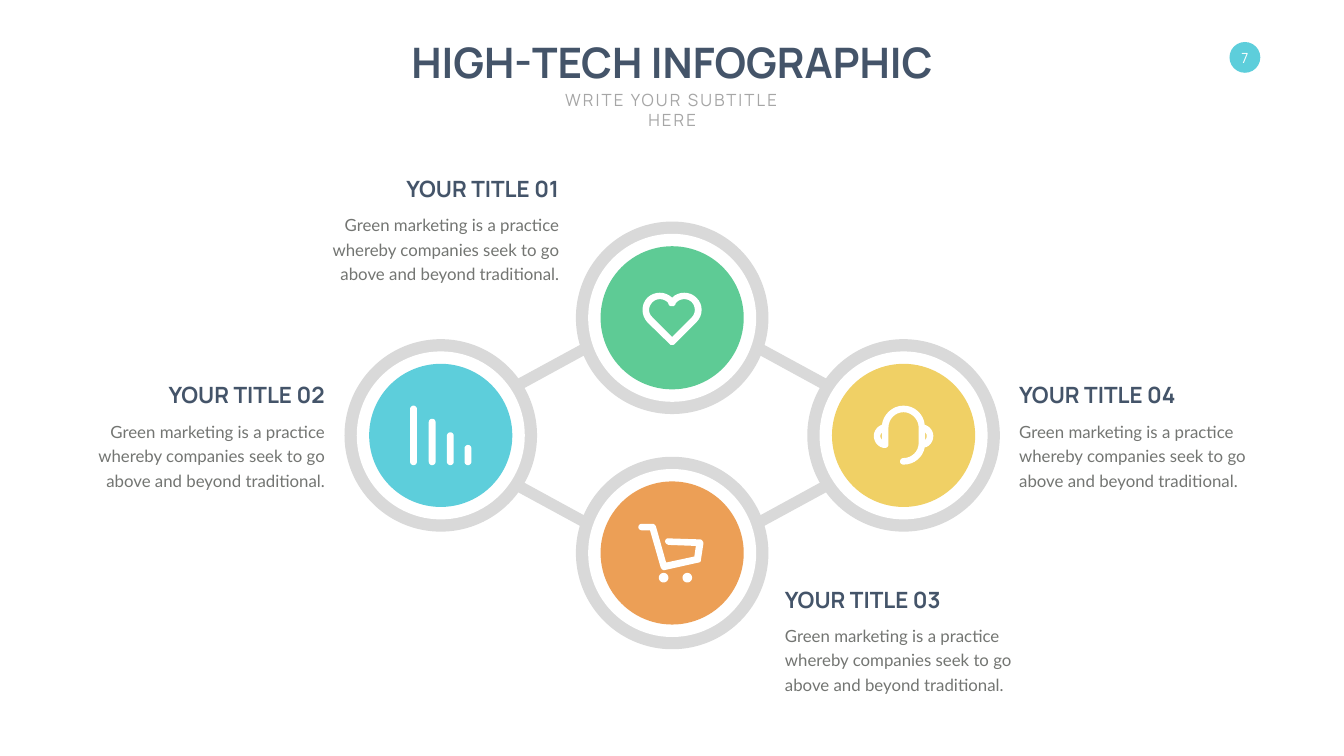
"""Build a slide with four linked circles, each with an icon and a caption."""
from math import cos, pi, sin

from pptx import Presentation
from pptx.dml.color import RGBColor
from pptx.enum.shapes import MSO_SHAPE
from pptx.enum.text import MSO_ANCHOR, MSO_AUTO_SIZE, PP_ALIGN
from pptx.oxml.ns import qn
from pptx.util import Pt

INK = {
    "navy": "445469", "gray": "A6A6A6", "text": "737572", "ring": "D9D9D9",
    "white": "FFFFFF", "blue": "5DCEDB", "green": "5ECB95",
    "gold": "F0D065", "rust": "EC9F56",
}
BODY = "Green marketing is a practice whereby companies seek to go above and beyond traditional."
MID = (960, 622)
STEP = (330.5, 168)
UNIT = 0.72
RINGS = (275, 240, 204.5)
WIDE, HEAD, RISE = 351, 242, 51


def disc(x, y, r, low=0, high=2 * pi):
    turns = [low + (high - low) * i / 24 for i in range(25)]
    return [(x + r * cos(t), y + r * sin(t)) for t in turns]


def bar(x, top, end, r):
    return disc(x, top + r, r, pi, 2 * pi) + disc(x, end - r, r, 0, pi)


HEART = [
    [(48, -40), (35, -53, 13, -53, 0, -40), (-14, -53, -35, -53, -49, -40),
     (-62, -27, -62, -5, -49, 9), (-5, 52), (-4, 54, -2, 54, 0, 54),
     (2, 54, 3, 54, 5, 52), (48, 9), (62, -5, 62, -27, 48, -40)],
    [(39, -1), (0, 38), (-39, -1), (-48, -9, -48, -22, -39, -31),
     (-31, -39, -18, -39, -9, -31), (-8, -29), (-7, -27, -7, -26, -6, -25),
     (-4, -23, -2, -23, 0, -23), (2, -23, 4, -23, 5, -25),
     (6, -26, 7, -27, 7, -29), (9, -31), (17, -39, 31, -39, 39, -31),
     (47, -22, 47, -9, 39, -1)],
]
BARS = [bar(x, top, 59, 6.75) for x, top in ((-54, -59), (-17, -33), (19, -6), (54, 19))]
CART = [
    disc(30, 49, 9.5),
    disc(-17, 49, 9.5),
    [(-60, -58), (-39, -58), (-36, -58, -33, -55, -32, -52), (-12, 19), (44, 7),
     (47, -14), (-7, -16), (-11, -17, -14, -20, -14, -23),
     (-14, -27, -10, -30, -7, -29), (55, -27), (57, -27, 59, -26, 60, -24),
     (61, -23, 62, -21, 62, -19), (57, 14), (57, 17, 55, 19, 52, 19), (-15, 34),
     (-16, 34, -16, 34, -17, 34), (-19, 34, -22, 31, -23, 28), (-44, -45),
     (-60, -45), (-64, -45, -67, -48, -67, -51), (-67, -55, -64, -58, -60, -58)],
]
PHONE = [
    [(43, 9), (43, -6), (45, -4, 46, -1, 46, 1), (46, 4, 45, 7, 43, 9)],
    [(-43, 9), (-43, -6), (-45, -4, -46, -1, -46, 1), (-46, 4, -45, 7, -43, 9)],
    [(59, 1), (59, -9, 52, -18, 42, -21), (40, -42, 22, -59, 0, -59),
     (-22, -59, -40, -42, -43, -21), (-52, -18, -59, -9, -59, 1),
     (-59, 14, -49, 25, -37, 25), (-33, 25, -30, 22, -30, 18), (-30, -15),
     (-30, -32, -17, -46, 0, -46), (16, -46, 30, -32, 30, -15), (30, 15),
     (30, 32, 16, 45, 0, 45), (-4, 45, -7, 48, -7, 52), (-7, 55, -4, 58, 0, 58),
     (21, 58, 38, 44, 42, 24), (52, 22, 59, 12, 59, 1)],
]
LINKS = [
    [(0, 279), (513, 0), (0, -279), (-513, 0)],
    [(-465, 0), (0, -254), (465, 0), (0, 254)],
]
NODES = [
    {"title": "YOUR TITLE 02", "cell": (-1, 0), "ink": "blue", "icon": BARS, "edge": 471, "top": 592, "right": True},
    {"title": "YOUR TITLE 03", "cell": (0, 1), "ink": "rust", "icon": CART, "edge": 1114, "top": 884, "right": False},
    {"title": "YOUR TITLE 01", "cell": (0, -1), "ink": "green", "icon": HEART, "edge": 805.5, "top": 297, "right": True},
    {"title": "YOUR TITLE 04", "cell": (1, 0), "ink": "gold", "icon": PHONE, "edge": 1448.5, "top": 592, "right": False},
]


def paint(shape, ink):
    shape.shadow.inherit = False
    shape.fill.solid()
    shape.fill.fore_color.rgb = RGBColor.from_string(INK[ink])
    shape.line.fill.background()


def flat(path):
    out = [path[0][:2]]
    for part in path[1:]:
        if len(part) == 2:
            out.append(part)
            continue
        ends = (out[-1], part[:2], part[2:4], part[4:])
        for i in range(1, 9):
            t = i / 8
            mix = ((1 - t) ** 3, 3 * t * (1 - t) ** 2, 3 * t * t * (1 - t), t ** 3)
            out.append(tuple(sum(m * e[k] for m, e in zip(mix, ends)) for k in (0, 1)))
    return out


def draw(slide, paths, spot, ink):
    pen = None
    for path in paths:
        dots = [tuple(Pt(c + UNIT * v) for c, v in zip(spot, dot)) for dot in flat(path)]
        if pen is None:
            pen = slide.shapes.build_freeform(*dots[0], scale=1.0)
        else:
            pen.move_to(*dots[0])
        pen.add_line_segments(dots[1:], close=True)
    paint(pen.convert_to_shape(), ink)


def ring(slide, spot, size, ink):
    x, y = (Pt(c - size / 2) for c in spot)
    paint(slide.shapes.add_shape(MSO_SHAPE.OVAL, x, y, Pt(size), Pt(size)), ink)


def write(shape, text, size, ink, face="Manrope", bold=False,
          align=PP_ALIGN.CENTER, anchor=MSO_ANCHOR.TOP, wrap=True):
    frame = shape.text_frame
    frame.auto_size = MSO_AUTO_SIZE.NONE
    frame.word_wrap = wrap
    frame.vertical_anchor = anchor
    frame.text = text
    line = frame.paragraphs[0]
    line.alignment = align
    font = line.font
    font.name, font.size, font.bold = face, Pt(size), bold
    font.color.rgb = RGBColor.from_string(INK[ink])
    return line


def box(slide, *area):
    return slide.shapes.add_textbox(*map(Pt, area))


def label(slide, node):
    align = PP_ALIGN.RIGHT if node["right"] else PP_ALIGN.LEFT
    edge, top = node["edge"], node["top"]
    x, y = (edge - w if node["right"] else edge for w in (HEAD, WIDE))
    write(box(slide, x, top - RISE, HEAD, 46), node["title"], 32, "navy",
          bold=True, align=align, anchor=MSO_ANCHOR.BOTTOM)
    line = write(box(slide, y, top, WIDE, 109.5), BODY, 24, "text", "Lato", align=align)
    line.line_spacing = Pt(35)


def main():
    deck = Presentation()
    deck.slide_width, deck.slide_height = Pt(1919.5), Pt(1080)
    slide = deck.slides.add_slide(deck.slide_layouts[5])

    title = slide.shapes.title
    title.left, title.top, title.width, title.height = map(Pt, (562, 48, 796, 80))
    write(title, "HIGH-TECH INFOGRAPHIC", 60, "navy", bold=True, wrap=False)
    sub = box(slide, 764.5, 124, 391, 36)
    write(sub, "WRITE YOUR SUBTITLE HERE", 24, "gray")
    next(sub.element.iter(qn("a:defRPr"))).set("spc", "300")

    ring(slide, (1778, 82), 44, "blue")
    page = box(slide, 1763, 70, 30, 24)
    write(page, "7", 20, "white", anchor=MSO_ANCHOR.MIDDLE, wrap=False)
    frame = page.text_frame
    frame.margin_left = frame.margin_right = frame.margin_top = frame.margin_bottom = 0

    draw(slide, LINKS, MID, "ring")
    for node in NODES:
        spot = [m + s * c for m, s, c in zip(MID, STEP, node["cell"])]
        for size, ink in zip(RINGS, ("ring", "white", node["ink"])):
            ring(slide, spot, size, ink)
        draw(slide, node["icon"], spot, "white")
        label(slide, node)
    deck.save("out.pptx")


if __name__ == "__main__":
    main()
